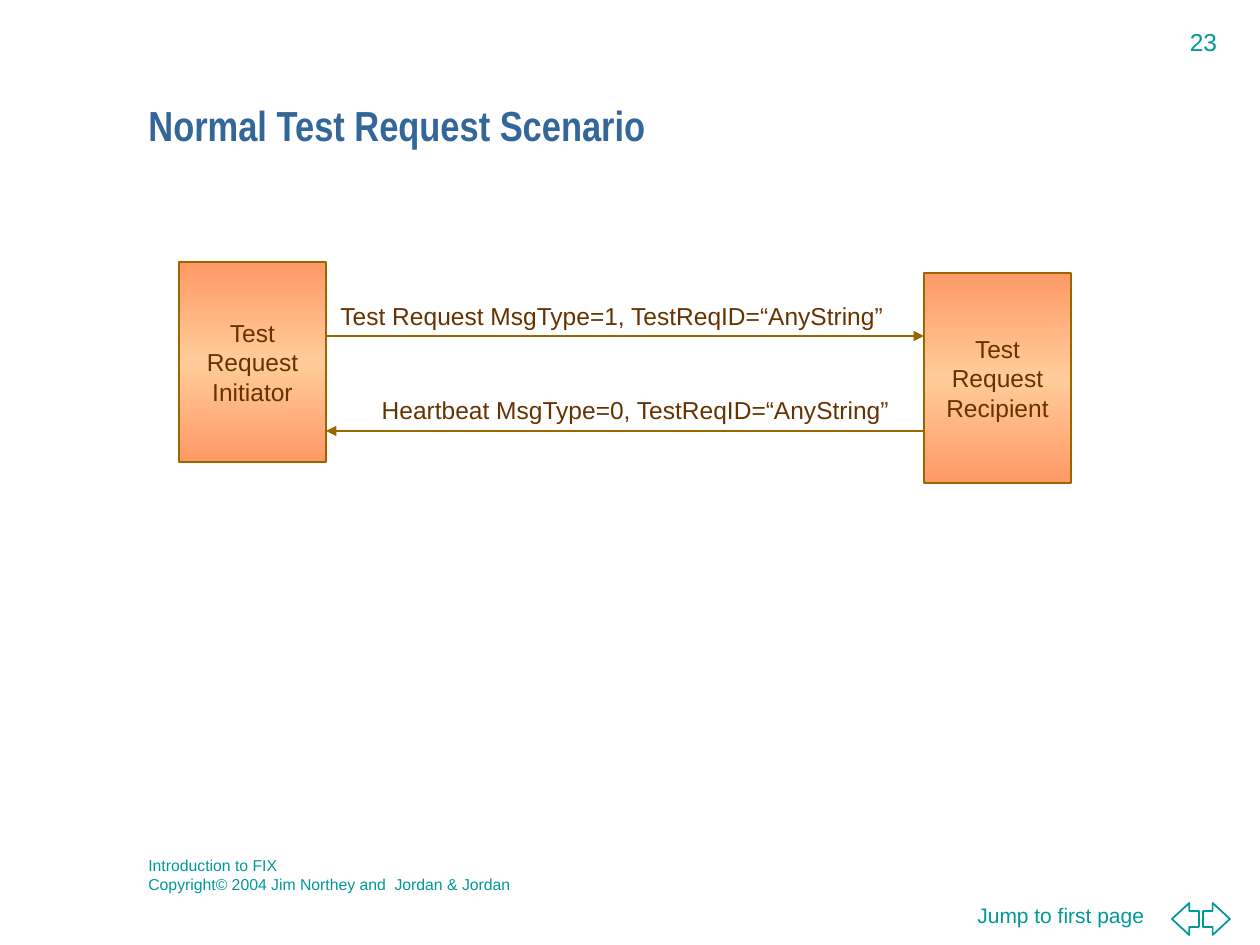
from copy import deepcopy

from pptx import Presentation
from pptx.dml.color import RGBColor
from pptx.enum.shapes import MSO_CONNECTOR, MSO_SHAPE
from pptx.enum.text import MSO_ANCHOR, PP_ALIGN
from pptx.oxml.ns import qn
from pptx.util import Emu, Pt
from lxml import etree

LEFT, CENTER = PP_ALIGN.LEFT, PP_ALIGN.CENTER
TOP, MIDDLE = MSO_ANCHOR.TOP, MSO_ANCHOR.MIDDLE
RECTANGLE = MSO_SHAPE.RECTANGLE
LEFT_ARROW, RIGHT_ARROW = MSO_SHAPE.LEFT_ARROW, MSO_SHAPE.RIGHT_ARROW
STRAIGHT = MSO_CONNECTOR.STRAIGHT

WHITE = RGBColor(0xFF, 0xFF, 0xFF)
TEAL = RGBColor(0x00, 0x99, 0x99)
BLUE = RGBColor(0x33, 0x66, 0x99)
BROWN = RGBColor(0x66, 0x33, 0x00)
OCHRE = RGBColor(0x99, 0x66, 0x00)
ORANGE = RGBColor(0xFF, 0x99, 0x66)
PEACH = RGBColor(0xFF, 0xCC, 0x99)

PAGE_WIDTH, PAGE_HEIGHT = 1260, 945
EMU_PER_PX = 914400 / 126


def px(length):
    return Emu(round(length * EMU_PER_PX))


def write(shape, text, size=14, color=BROWN, font="Arial", bold=False,
          align=CENTER, anchor=MIDDLE, wrap=True, spacing=None):
    frame = shape.text_frame
    frame.word_wrap = wrap
    frame.vertical_anchor = anchor
    para = frame.paragraphs[0]
    para.text = text
    para.alignment = align
    if spacing:
        para.line_spacing = spacing
    for span in para.runs:
        span.font.name = font
        span.font.size = Pt(size)
        span.font.bold = bold
        span.font.color.rgb = color


def add_text(page, box, text, **text_format):
    write(page.shapes.add_textbox(*map(px, box)), text, **text_format)


def add_outlined(page, kind, box, color, width):
    shape = page.shapes.add_shape(kind, *map(px, box))
    shape.shadow.inherit = False
    shape.line.color.rgb = color
    shape.line.width = Pt(width)
    return shape


def fill_gradient(shape):
    """Orange at both ends, peach in the middle, running downwards."""
    fill = shape.fill
    fill.gradient()
    fill.gradient_angle = 90
    first_stop = fill._fill._gradFill.gsLst[0]
    first_stop.addnext(deepcopy(first_stop))
    stops = ((0, ORANGE), (0.5, PEACH), (1, ORANGE))
    for stop, (position, color) in zip(fill.gradient_stops, stops):
        stop.position = position
        stop.color.rgb = color


def add_party(page, box, text):
    party = add_outlined(page, RECTANGLE, box, OCHRE, 0.75)
    fill_gradient(party)
    write(party, text)


def add_message(page, start, end, y, label_box, text):
    arrow = page.shapes.add_connector(STRAIGHT, px(start), px(y), px(end), px(y))
    arrow.line.color.rgb = OCHRE
    arrow.line.width = Pt(1.5)
    line = arrow.line._get_or_add_ln()
    etree.SubElement(line, qn("a:tailEnd"), type="triangle")
    etree.SubElement(arrow._element.spPr, qn("a:effectLst"))
    add_text(page, label_box, text, wrap=False)


def add_header(page, box):
    left, top, width, _ = box
    add_text(page, (left + width - 113, top, 113, 43), "23",
             color=TEAL, anchor=TOP, wrap=False)
    add_text(page, (left + 136, top + 63, 1092, 94),
             "Normal Test Request Scenario", size=24, color=BLUE,
             font="Arial Narrow", bold=True, align=LEFT, spacing=0.7)


def add_scenario(page, box):
    left, top, width, height = box
    party_width = 147
    start, end = left + party_width, left + width - party_width
    add_party(page, (left, top, party_width, 200), "Test Request Initiator")
    add_party(page, (end, top + 11, party_width, height - 11),
              "Test Request Recipient")
    add_message(page, start, end, top + 74, (left + 145, top + 32, 576, 43),
                "Test Request MsgType=1, TestReqID=“AnyString”")
    add_message(page, end, start, top + 169, (left + 188, top + 126, 537, 43),
                "Heartbeat MsgType=0, TestReqID=“AnyString”")


def add_footer(page, box):
    left, top, _, _ = box
    add_text(page, (left, top, 872, 50),
             "Introduction to FIX\vCopyright© 2004 Jim Northey and  Jordan & Jordan",
             size=9, color=TEAL, align=LEFT, anchor=TOP)
    add_text(page, (left + 829, top + 46, 210, 58), "Jump to first page",
             size=12, color=TEAL, align=LEFT, anchor=TOP)

    # Previous and next arrows
    for index, kind in enumerate((LEFT_ARROW, RIGHT_ARROW)):
        arrow = add_outlined(
            page, kind, (left + 1036 + 31 * index, top + 53, 27, 32), TEAL, 1)
        arrow.adjustments[1] = 0.64
        arrow.fill.solid()
        arrow.fill.fore_color.rgb = WHITE


def main():
    deck = Presentation()
    deck.slide_width, deck.slide_height = px(PAGE_WIDTH), px(PAGE_HEIGHT)
    page = deck.slides.add_slide(deck.slide_layouts[6])
    add_footer(page, (136, 850, 1124, 95))
    add_header(page, (0, 21, PAGE_WIDTH, 157))
    add_scenario(page, (179, 262, 892, 221))
    deck.save("out.pptx")


if __name__ == "__main__":
    main()
